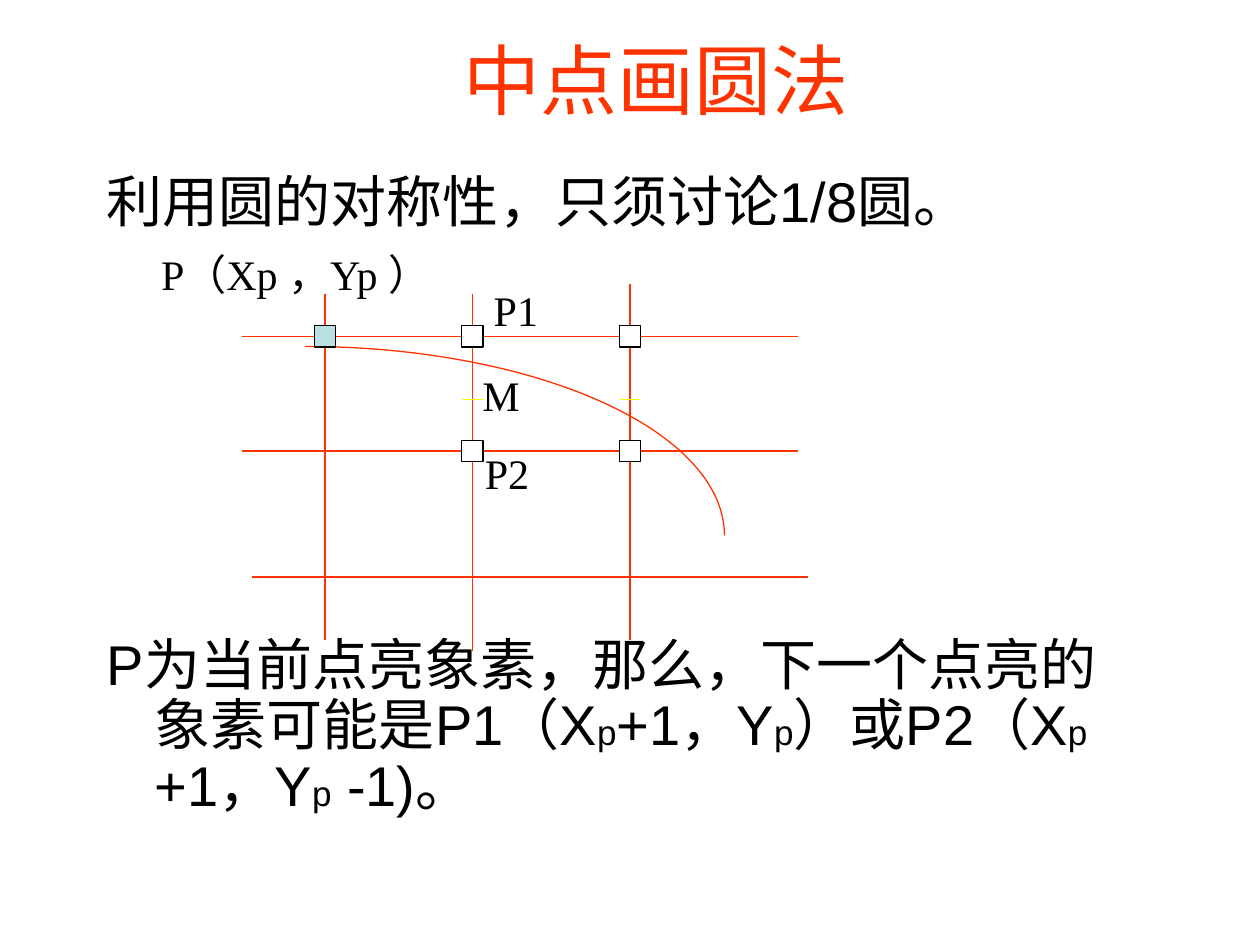
from math import cos, pi, sin

from lxml.etree import SubElement
from pptx import Presentation
from pptx.dml.color import RGBColor
from pptx.enum.shapes import MSO_CONNECTOR as Connector, MSO_SHAPE as Shape
from pptx.enum.text import MSO_ANCHOR as Anchor, PP_ALIGN as Align
from pptx.oxml.ns import qn
from pptx.util import Inches, Pt

RED, YELLOW, BLACK, WHITE, PALE_BLUE = "FF3300", "FFFF00", "000000", "FFFFFF", "BBE0E3"


def rgb(value):
    return RGBColor.from_string(value)


class Diagram:
    """Holds the slide and its style: thin lines, Arial text, Times labels."""
    text_font, label_font = "Arial", "Times New Roman"
    line_width = Pt(0.75)

    def __init__(self, slide):
        self.slide = slide
        self.shapes = slide.shapes

    def style_font(self, font, name, size, color):
        font.name, font.size, font.color.rgb = name, Pt(size), rgb(color)

    def style_line(self, line, color):
        line.color.rgb, line.width = rgb(color), self.line_width

    def title(self, text, left, top, width, height):
        heading = self.shapes.title
        heading.left, heading.top = Inches(left), Inches(top)
        heading.width, heading.height = Inches(width), Inches(height)
        frame = heading.text_frame
        frame.text, frame.vertical_anchor = text, Anchor.MIDDLE
        paragraph = frame.paragraphs[0]
        paragraph.alignment = Align.CENTER
        self.style_font(paragraph.font, self.text_font, 44, RED)

    def body(self, paragraphs, gap, left, top, width, height):
        """Each paragraph is a list of (text, size) runs with a hanging indent."""
        frame = self.shapes.add_textbox(
            Inches(left), Inches(top), Inches(width), Inches(height)).text_frame
        frame.word_wrap = True
        for index, runs in enumerate(paragraphs):
            paragraph = frame.add_paragraph() if index else frame.paragraphs[0]
            paragraph.line_spacing = 0.9
            if index:
                paragraph.space_before = Pt(gap)
            properties = paragraph._p.get_or_add_pPr()
            properties.set("marL", str(Inches(0.38)))
            properties.set("indent", str(Inches(-0.38)))
            self.style_font(paragraph.font, self.text_font, 32, BLACK)
            for text, size in runs:
                run = paragraph.add_run()
                run.text = text
                run.font.size = Pt(size)

    def label(self, text, left, top, width):
        frame = self.shapes.add_textbox(
            Inches(left), Inches(top), Inches(width), Inches(0.5)).text_frame
        frame.word_wrap = False
        frame.text = text
        self.style_font(frame.paragraphs[0].font, self.label_font, 24, BLACK)

    def line(self, x1, y1, x2, y2, color):
        connector = self.shapes.add_connector(
            Connector.STRAIGHT, Inches(x1), Inches(y1), Inches(x2), Inches(y2))
        self.style_line(connector.line, color)
        SubElement(connector._element.spPr, qn("a:effectLst"))

    def quarter_arc(self, center_x, center_y, radius_x, radius_y, steps=60):
        angles = [pi / 2 * step / steps for step in range(steps + 1)]
        points = [(Inches(center_x + radius_x * sin(angle)),
                   Inches(center_y - radius_y * cos(angle))) for angle in angles]
        builder = self.shapes.build_freeform(*points[0])
        builder.add_line_segments(points[1:], close=False)
        arc = builder.convert_to_shape()
        arc.shadow.inherit = False
        arc.fill.background()
        self.style_line(arc.line, RED)

    def pixel(self, x, y, fill, size=0.17):
        square = self.shapes.add_shape(
            Shape.RECTANGLE, Inches(x - size / 2), Inches(y - size / 2),
            Inches(size), Inches(size))
        square.shadow.inherit = False
        square.fill.solid()
        square.fill.fore_color.rgb = rgb(fill)
        self.style_line(square.line, BLACK)


def main():
    deck = Presentation()
    deck.slide_width, deck.slide_height = Inches(10), Inches(7.5)
    diagram = Diagram(deck.slides.add_slide(deck.slide_layouts[5]))

    # Title and explanation, with room for the drawing in between
    diagram.title("中点画圆法", 1.25, 0, 7.92, 1.25)
    symmetry = [("利用圆的对称性，只须讨论1/8圆。", 32)]
    candidates = [("P为当前点亮象素，那么，下一个点亮的象素可能是P1（X", 32), ("p", 20),
                  ("+1，Y", 32), ("p", 20), ("）或P2（X", 32), ("p", 20),
                  (" +1，Y", 32), ("p", 20), (" -1)。", 32)]
    diagram.body([symmetry, candidates], 230, 0.75, 1.33, 8.5, 5.33)

    # Pixel grid
    current_x, next_x, last_x = 2.58, 3.75, 5
    upper_y, lower_y, bottom_y = 2.67, 3.58, 4.58
    for left, y in ((1.92, upper_y), (1.92, lower_y), (2, bottom_y)):
        diagram.line(left, y, left + 4.41, y, RED)
    for x, top, bottom in ((current_x, 2.33, 5.08), (next_x, 2.33, 5.17),
                           (last_x, 2.25, 5.08)):
        diagram.line(x, top, x, bottom, RED)

    # Circle arc
    diagram.quarter_arc(2.42, 4.25, 3.33, 1.5)

    # Midpoint ticks and candidate pixels
    for x in (next_x, last_x):
        diagram.line(x - 0.08, 3.17, x + 0.08, 3.17, YELLOW)
        for y in (upper_y, lower_y):
            diagram.pixel(x, y, WHITE)
    diagram.pixel(current_x, upper_y, PALE_BLUE)

    # Point labels
    for text, left, top, width in (("M", 3.73, 2.88, 0.49), ("P1", 3.82, 2.21, 0.55),
                                   ("P2", 3.75, 3.5, 0.55),
                                   ("P（Xp ，Yp ）", 1.18, 1.92, 2.76)):
        diagram.label(text, left, top, width)

    deck.save("out.pptx")


if __name__ == "__main__":
    main()
